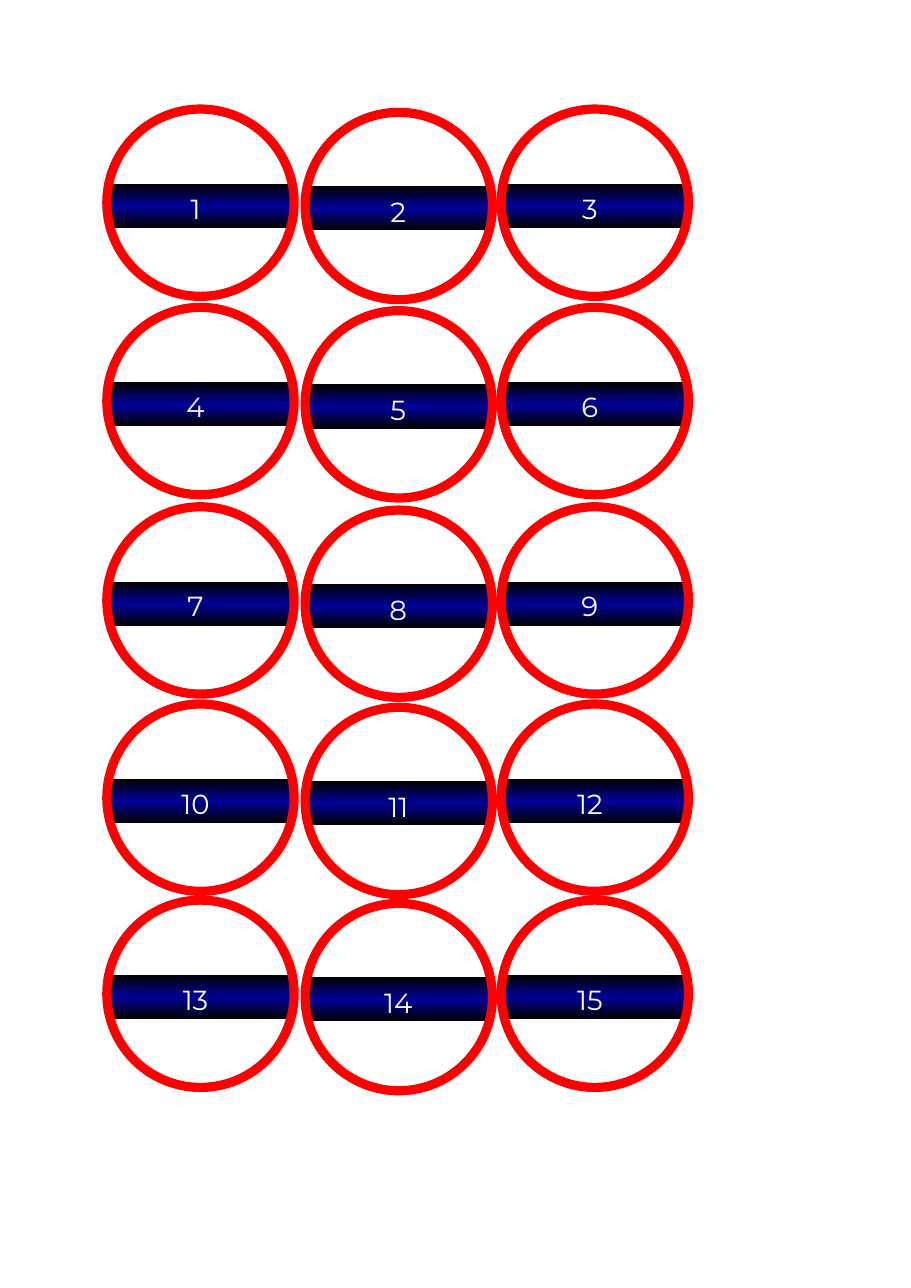
from copy import deepcopy

from pptx import Presentation
from pptx.dml.color import RGBColor
from pptx.enum.shapes import MSO_SHAPE
from pptx.enum.text import MSO_ANCHOR, PP_ALIGN
from pptx.oxml.ns import qn
from pptx.util import Inches, Pt

RECTANGLE, OVAL = MSO_SHAPE.RECTANGLE, MSO_SHAPE.OVAL
CENTER, TOP = PP_ALIGN.CENTER, MSO_ANCHOR.TOP

BLACK = RGBColor(0x00, 0x00, 0x00)
NAVY = RGBColor(0x00, 0x00, 0x99)
RED = RGBColor(0xFF, 0x00, 0x00)
WHITE = RGBColor(0xFF, 0xFF, 0xFF)

RING_SIZE = 1.7
COLUMN_LEFTS = [0.97, 2.77, 4.55]
COLUMN_DROPS = [0, 0.03, 0]  # the middle column hangs slightly lower
NUMBER_OFFSETS = [0.56, 0.6, 0.56]
ROW_TOPS = [0.99, 2.79, 4.6, 6.39, 8.17]

deck = Presentation()
deck.slide_width, deck.slide_height = Inches(8.27), Inches(11.69)
page = deck.slides.add_slide(deck.slide_layouts[6])


def add_number(text, left, top, size=18, font="Montserrat", color=WHITE):
    box = page.shapes.add_textbox(Inches(left), Inches(top), Inches(0.49), Inches(0.34))
    frame = box.text_frame
    frame.word_wrap = False
    frame.vertical_anchor = TOP
    para = frame.paragraphs[0]
    para.alignment = CENTER
    span = para.add_run()
    span.text = text
    span.font.size = Pt(size)
    span.font.name = font
    span.font.color.rgb = color


def add_band(left, top):
    band = page.shapes.add_shape(RECTANGLE, Inches(left), Inches(top), Inches(1.67), Inches(0.4))
    band.shadow.inherit = False
    band.line.fill.background()
    band.fill.gradient()
    band.fill.gradient_angle = 90
    # Third stop, so the band runs black, navy, black
    stops = band._element.spPr.find(qn("a:gradFill")).find(qn("a:gsLst"))
    stops.append(deepcopy(stops[0]))
    for stop, position, color in zip(band.fill.gradient_stops, (0, 0.5, 1), (BLACK, NAVY, BLACK)):
        stop.position = position
        stop.color.rgb = color


# Numbered badges, row by row
for row, row_top in enumerate(ROW_TOPS):
    for column, left in enumerate(COLUMN_LEFTS):
        top = row_top + COLUMN_DROPS[column]
        number = row * len(COLUMN_LEFTS) + column + 1

        add_band(left + 0.01, row_top + (0.7 if column == 1 else 0.68))
        add_number(str(number), left + NUMBER_OFFSETS[column], top + 0.7)

        ring = page.shapes.add_shape(
            OVAL, Inches(left), Inches(top), Inches(RING_SIZE), Inches(RING_SIZE))
        ring.shadow.inherit = False
        ring.fill.background()
        ring.line.color.rgb = RED
        ring.line.width = Pt(6)

deck.save("out.pptx")
